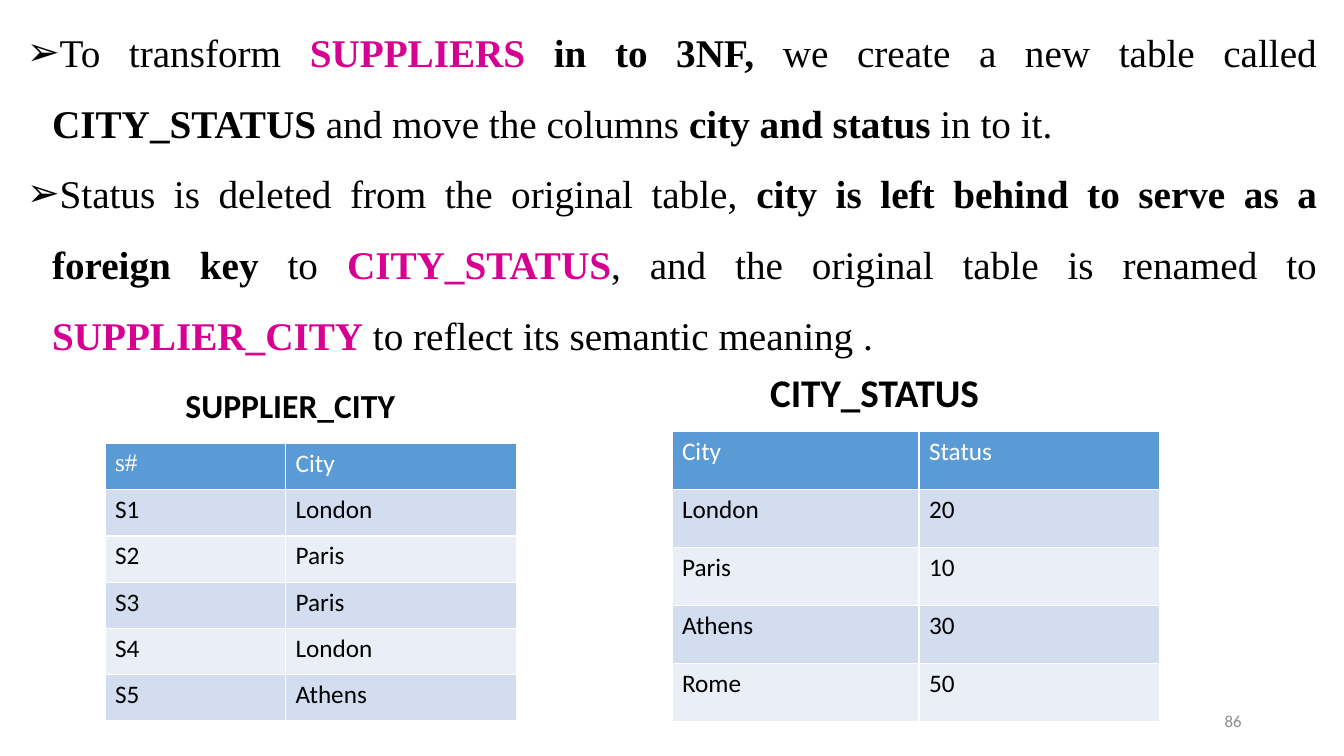
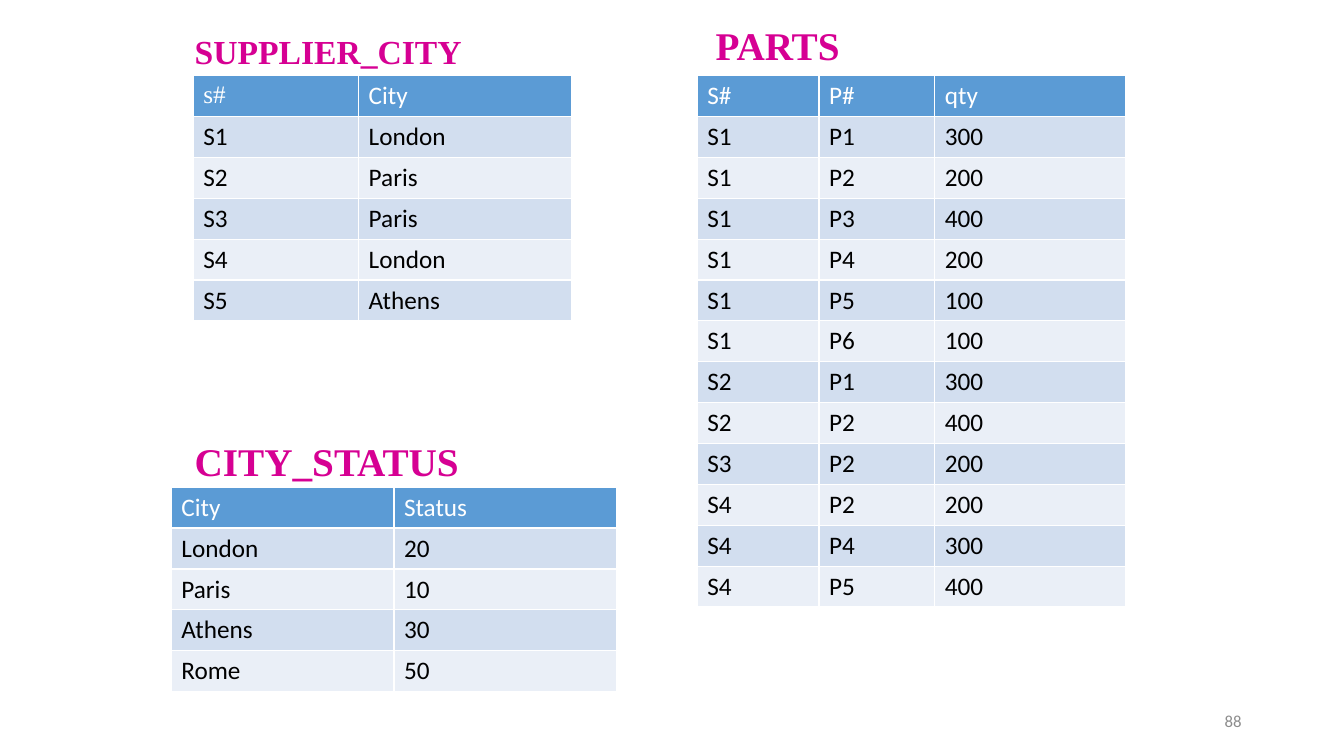
import pptx
import pptx.dml.color
import pptx.enum.text
import pptx.oxml
import pptx.oxml.ns
import pptx.util

COLUMNS, ROWS = 160, 90
WIDTH, HEIGHT = pptx.util.Inches(13.33), pptx.util.Inches(7.5)
COLORS = {"black": "000000", "white": "FFFFFF", "accent": "D60093", "header": "5B9BD5",
          "odd": "D2DEEF", "even": "EAEFF7", "number": "8C8C8C"}
SANS, SERIF = "Calibri", "Times New Roman"
ALIGN = pptx.enum.text.PP_ALIGN
ANCHOR = pptx.enum.text.MSO_ANCHOR

SUPPLIER_CITY = [("s#", "City"), ("S1", "London"), ("S2", "Paris"), ("S3", "Paris"),
                 ("S4", "London"), ("S5", "Athens")]
CITY_STATUS = [("City", "Status"), ("London", "20"), ("Paris", "10"), ("Athens", "30"),
               ("Rome", "50")]
PARTS = [("S#", "P#", "qty"), ("S1", "P1", "300"), ("S1", "P2", "200"), ("S1", "P3", "400"),
         ("S1", "P4", "200"), ("S1", "P5", "100"), ("S1", "P6", "100"), ("S2", "P1", "300"),
         ("S2", "P2", "400"), ("S3", "P2", "200"), ("S4", "P2", "200"), ("S4", "P4", "300"),
         ("S4", "P5", "400")]
EXPLANATION = [
    [("To transform ", ""), ("SUPPLIERS ", "accent"), ("in to 3NF, ", "black"),
     ("we create a new table called ", ""), ("CITY_STATUS", "black"),
     (" and move the columns ", ""), ("city and status ", "black"), ("in to it.", "")],
    [("Status is deleted from the original table, ", ""),
     ("city is left behind to serve as a foreign key ", "black"), ("to ", ""),
     ("CITY_STATUS", "accent"), (", and the original table is renamed to ", ""),
     ("SUPPLIER_CITY", "accent"), (" to reflect its semantic meaning .", "")],
]


def across(columns):
    """Turn grid columns into a length."""
    return round(WIDTH * columns / COLUMNS)


def down(rows):
    """Turn grid rows into a length."""
    return round(HEIGHT * rows / ROWS)


def place(box):
    """Turn a grid box into left, top, width and height."""
    left, top, width, height = box
    return across(left), down(top), across(width), down(height)


def color(name):
    """Look up a named colour."""
    return pptx.dml.color.RGBColor.from_string(COLORS[name])


def style(font, size, name, tint, bold=False):
    """Format a font."""
    font.size, font.name, font.bold = pptx.util.Pt(size), name, bold
    font.color.rgb = color(tint)


def add_label(slide, box, text, size, name, tint, bold=True, align=ALIGN.LEFT, anchor=ANCHOR.TOP):
    """Add a one-line text box."""
    frame = slide.shapes.add_textbox(*place(box)).text_frame
    frame.word_wrap, frame.vertical_anchor = True, anchor
    paragraph = frame.paragraphs[0]
    paragraph.text, paragraph.alignment = text, align
    style(paragraph.font, size, name, tint, bold)


def add_page_number(slide, number):
    """Add the page number at the bottom right."""
    add_label(slide, (113, 83.4, 36, 4.8), number, 12, SANS, "number", False,
              ALIGN.RIGHT, ANCHOR.MIDDLE)


def add_borders(cell):
    """Draw thin white lines round a cell."""
    properties = cell._tc.get_or_add_tcPr()
    for side in "LRTB":
        properties.append(pptx.oxml.parse_xml(
            f'<a:ln{side} {pptx.oxml.ns.nsdecls("a")} w="12700"><a:solidFill>'
            f'<a:srgbClr val="{COLORS["white"]}"/></a:solidFill></a:ln{side}>'))


def add_relation(slide, corner, widths, row_height, records):
    """Add a banded table with its top left at a grid corner."""
    box = (*corner, sum(widths), row_height * len(records))
    table = slide.shapes.add_table(len(records), len(widths), *place(box)).table
    table.first_row = table.horz_banding = False
    for column, width in zip(table.columns, widths):
        column.width = across(width)
    for index, (row, record) in enumerate(zip(table.rows, records)):
        row.height = down(row_height)
        band = "header" if index == 0 else ("even", "odd")[index % 2]
        for cell, value in zip(row.cells, record):
            add_borders(cell)
            cell.fill.solid()
            cell.fill.fore_color.rgb = color(band)
            paragraph = cell.text_frame.paragraphs[0]
            paragraph.text = value
            style(paragraph.font, 18, SERIF if value == "s#" else SANS,
                  "black" if index else "white")


def add_titled_relation(slide, corner, widths, row_height, records, title, offset, size, name, tint):
    """Add a table and its heading, offset from the table corner."""
    add_relation(slide, corner, widths, row_height, records)
    box = (corner[0] + offset[0], corner[1] + offset[1], sum(widths), size / 4)
    add_label(slide, box, title, size, name, tint)


def fill_explanation(shape, box):
    """Fill the body placeholder with justified arrow bullets."""
    shape.left, shape.top, shape.width, shape.height = place(box)
    frame = shape.text_frame
    frame.auto_size = pptx.enum.text.MSO_AUTO_SIZE.NONE
    for index, parts in enumerate(EXPLANATION):
        paragraph = frame.add_paragraph() if index else frame.paragraphs[0]
        properties = paragraph._p.get_or_add_pPr()
        properties.set("marL", str(pptx.util.Inches(0.25)))
        properties.set("indent", str(-pptx.util.Inches(0.25)))
        properties.append(pptx.oxml.parse_xml(
            f'<a:buChar {pptx.oxml.ns.nsdecls("a")} char="➢"/>'))
        paragraph.alignment = ALIGN.JUSTIFY
        paragraph.line_spacing, paragraph.space_before = 1.5, pptx.util.Pt(0)
        for text, emphasis in parts:
            run = paragraph.add_run()
            run.text = text
            style(run.font, 28, SERIF, emphasis or "black", bool(emphasis))


def build_explanation_slide(presentation):
    """Explain the split and show the two resulting tables."""
    slide = presentation.slides.add_slide(presentation.slide_layouts[1])
    title = slide.shapes.title
    title.element.getparent().remove(title.element)
    fill_explanation(slide.placeholders[1], (2, 0, 156, 87))
    add_titled_relation(slide, (12.5, 52.8), (21.5, 27.5), 5.5, SUPPLIER_CITY,
                        "SUPPLIER_CITY", (8.4, -7.6), 24, SANS, "black")
    add_titled_relation(slide, (80, 51.4), (29.4, 28.6), 6.9, CITY_STATUS,
                        "CITY_STATUS", (10.5, -8.2), 28, SANS, "black")
    add_page_number(slide, "86")


def build_relations_slide(presentation):
    """Show the three tables of the final design."""
    slide = presentation.slides.add_slide(presentation.slide_layouts[6])
    add_titled_relation(slide, (83, 9), (14.5, 13.8, 22.7), 4.87, PARTS,
                        "PARTS", (1, -7), 28, SERIF, "accent")
    add_titled_relation(slide, (23, 9), (19.7, 25.3), 4.87, SUPPLIER_CITY,
                        "SUPPLIER_CITY", (-1, -5.9), 24, SERIF, "accent")
    add_titled_relation(slide, (20.4, 58), (26.5, 26.5), 4.87, CITY_STATUS,
                        "CITY_STATUS", (1.6, -6.5), 28, SERIF, "accent")
    add_page_number(slide, "88")


def main():
    """Build and save the presentation."""
    presentation = pptx.Presentation()
    presentation.slide_width, presentation.slide_height = WIDTH, HEIGHT
    build_explanation_slide(presentation)
    build_relations_slide(presentation)
    presentation.save("out.pptx")


if __name__ == "__main__":
    main()
